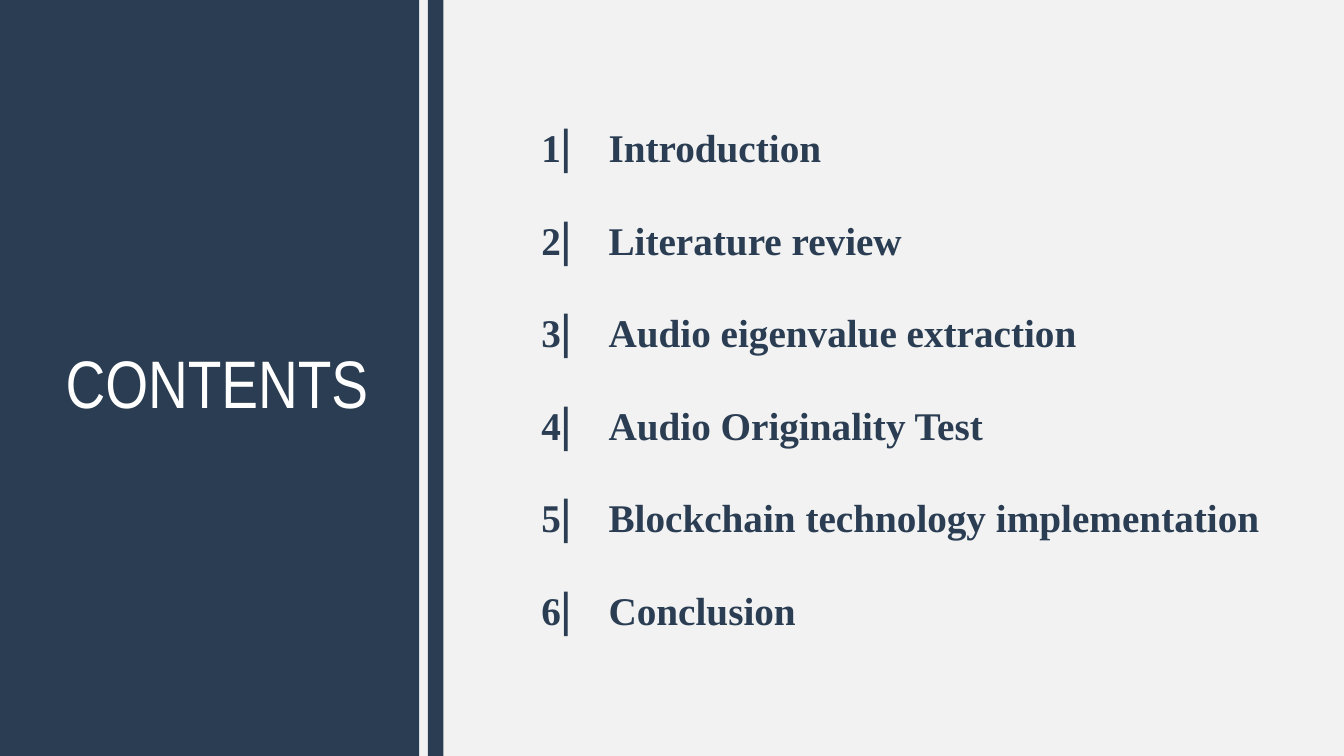
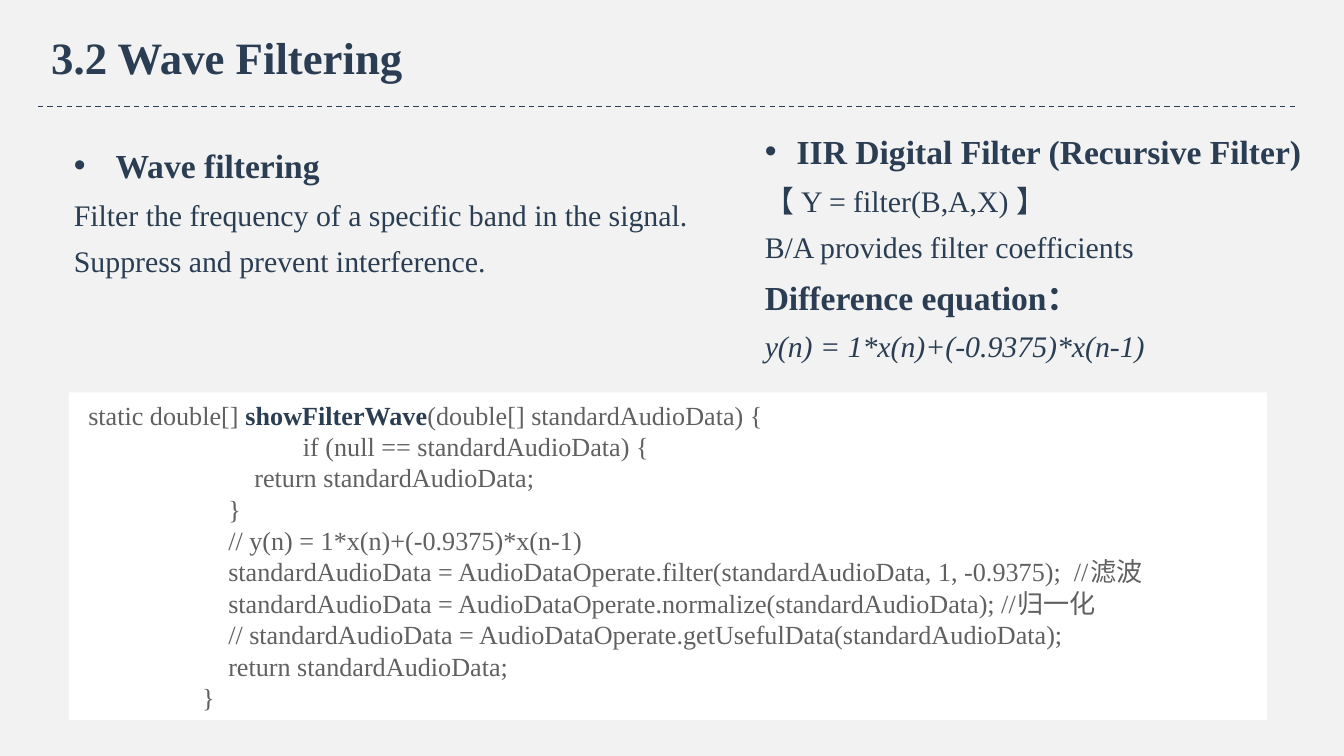
from dataclasses import dataclass

from lxml import etree
from pptx import Presentation
from pptx.dml.color import RGBColor
from pptx.enum.dml import MSO_LINE
from pptx.enum.shapes import MSO_CONNECTOR, MSO_SHAPE
from pptx.enum.text import MSO_ANCHOR, MSO_AUTO_SIZE, PP_ALIGN
from pptx.oxml.ns import qn
from pptx.util import Pt

RECTANGLE = MSO_SHAPE.RECTANGLE
STRAIGHT = MSO_CONNECTOR.STRAIGHT
DASH = MSO_LINE.DASH
TOP = MSO_ANCHOR.TOP
NO_FIT = MSO_AUTO_SIZE.NONE
LEFT, CENTER = PP_ALIGN.LEFT, PP_ALIGN.CENTER
CONTENT_LAYOUT, TWO_CONTENT_LAYOUT = 1, 3


@dataclass(frozen=True)
class Theme:
    """Colours, fonts and type sizes of the deck."""
    navy: RGBColor = RGBColor(0x2A, 0x3D, 0x52)
    paper: RGBColor = RGBColor(0xF2, 0xF2, 0xF2)
    white: RGBColor = RGBColor(0xFF, 0xFF, 0xFF)
    grey: RGBColor = RGBColor(0x60, 0x60, 0x60)
    serif: str = "Times New Roman"
    narrow: str = "Arial Narrow"
    bar: str = "Noto Sans CJK SC"
    cover: float = 36
    title: float = 24
    agenda: float = 21
    heading: float = 18
    body: float = 16
    code: float = 14
    agenda_pitch: float = 49.6
    heading_pitch: float = 28
    body_pitch: float = 25
    code_pitch: float = 16.8


@dataclass(frozen=True)
class Box:
    """A rectangle in points."""
    left: float
    top: float
    width: float
    height: float

    def place(self, shape):
        """Move a shape onto this rectangle."""
        shape.left, shape.top = Pt(self.left), Pt(self.top)
        shape.width, shape.height = Pt(self.width), Pt(self.height)


THEME = Theme()
PAGE = Box(0, 0, 720, 405)

AGENDA = ["Introduction", "Literature review", "Audio eigenvalue extraction",
          "Audio Originality Test", "Blockchain technology implementation",
          "Conclusion"]

PURPOSE = [("heading", "Wave filtering"),
           ("body", "Filter the frequency of a specific band in the signal."),
           ("body", "Suppress and prevent interference.")]

FILTER = [("heading", "IIR Digital Filter (Recursive Filter)"),
          ("body", "【 Y = filter(B,A,X) 】"),
          ("body", "B/A provides filter coefficients"),
          ("subheading", "Difference equation："),
          ("formula", "y(n) = 1*x(n)+(-0.9375)*x(n-1)")]

CODE = [
    (0, 1, ["static double[] ", "showFilterWave",
            "(double[] standardAudioData) {"]),
    (2, 3, ["if (null == standardAudioData) {"]),
    (1, 11, ["return standardAudioData;"]),
    (1, 7, ["}"]),
    (1, 7, ["// y(n) = 1*x(n)+(-0.9375)*x(n-1)"]),
    (1, 7, ["standardAudioData = AudioDataOperate.filter("
            "standardAudioData, 1, -0.9375);  //滤波"]),
    (1, 7, ["standardAudioData = AudioDataOperate.normalize("
            "standardAudioData); //归一化"]),
    (1, 7, ["// standardAudioData = AudioDataOperate.getUsefulData("
            "standardAudioData);"]),
    (1, 7, ["return standardAudioData;"]),
    (1, 3, ["}"]),
]


def add_run(paragraph, text, size, color=THEME.navy, font=THEME.serif,
            bold=False, italic=False):
    """Append one formatted run."""
    run = paragraph.add_run()
    run.text = text
    run.font.size, run.font.name = Pt(size), font
    run.font.bold, run.font.italic = bold, italic
    run.font.color.rgb = color


def format_paragraph(paragraph, pitch=None, margin=0, hang=0, bullet=None,
                     tab=None, align=LEFT):
    """Set line pitch, indents, bullet and tab stop."""
    paragraph.alignment = align
    paragraph.space_before = paragraph.space_after = Pt(0)
    if pitch:
        paragraph.line_spacing = Pt(pitch)
    props = paragraph._p.get_or_add_pPr()
    props.set("marL", str(Pt(margin)))
    props.set("indent", str(Pt(-hang)))
    if bullet:
        etree.SubElement(props, qn("a:buChar")).set("char", bullet)
    else:
        etree.SubElement(props, qn("a:buNone"))
    if tab:
        tabs = etree.SubElement(props, qn("a:tabLst"))
        etree.SubElement(tabs, qn("a:tab"), pos=str(Pt(tab)), algn="l")


def open_frame(shape, box):
    """Place a text holder and return its top-anchored, wrapping frame."""
    box.place(shape)
    frame = shape.text_frame
    frame.auto_size, frame.word_wrap = NO_FIT, True
    frame.vertical_anchor = TOP
    frame.margin_left = frame.margin_right = Pt(7.2)
    frame.margin_top = frame.margin_bottom = Pt(3.6)
    return frame


def paragraphs_for(frame, items):
    """Yield a paragraph with each item, starting with the existing one."""
    for index, item in enumerate(items):
        yield (frame.add_paragraph() if index else frame.paragraphs[0]), item


def fill_title(slide, box, text, align=LEFT, **style):
    """Write the title placeholder."""
    paragraph = open_frame(slide.shapes.title, box).paragraphs[0]
    format_paragraph(paragraph, align=align)
    add_run(paragraph, text, **style)


def add_panel(slide, box, color):
    """Add a plain filled rectangle."""
    panel = slide.shapes.add_shape(RECTANGLE, 0, 0, 0, 0)
    box.place(panel)
    panel.shadow.inherit = False
    panel.fill.solid()
    panel.fill.fore_color.rgb = color
    panel.line.fill.background()
    return panel


def add_side_band(slide, box):
    """Build the navy band with its stripe and the contents title."""
    band = add_panel(slide, Box(box.left, box.top, 224.6, box.height),
                     THEME.navy)
    stripe = add_panel(slide, Box(box.left + 229.2, box.top, 8.4, box.height),
                       THEME.navy)
    for part in (band, stripe):
        slide.shapes.title.element.addprevious(part.element)
    fill_title(slide, Box(box.left + 4, box.top + 179.5, 224.6, 55),
               "CONTENTS", align=CENTER, size=THEME.cover,
               color=THEME.white, font=THEME.narrow)


def add_agenda(slide, box):
    """Number the sections in the body placeholder."""
    frame = open_frame(slide.placeholders[1], box)
    rows = enumerate(AGENDA, start=1)
    for paragraph, (number, section) in paragraphs_for(frame, rows):
        format_paragraph(paragraph, THEME.agenda_pitch, tab=27.4)
        add_run(paragraph, str(number), THEME.agenda, bold=True)
        add_run(paragraph, "|", THEME.agenda, font=THEME.bar, bold=True)
        add_run(paragraph, f"\t{section}", THEME.agenda, bold=True)


def add_header(slide, box, text):
    """Write the topic title above its dashed rule."""
    fill_title(slide, Box(box.left, box.top, 470, 36), text,
               size=THEME.title, bold=True)
    rule_y = Pt(box.top + box.height)
    rule = slide.shapes.add_connector(STRAIGHT, Pt(box.left), rule_y,
                                      Pt(box.left + box.width), rule_y)
    rule.line.color.rgb = THEME.navy
    rule.line.width = Pt(0.75)
    rule.line.dash_style = DASH
    etree.SubElement(rule.element.spPr, qn("a:effectLst"))


def add_notes_column(slide, box, index, lines, hang):
    """Fill one body placeholder with a bulleted heading and its lines."""
    frame = open_frame(slide.placeholders[index], box)
    for paragraph, (role, text) in paragraphs_for(frame, lines):
        strong = role in ("heading", "subheading")
        pitch = THEME.heading_pitch if strong else THEME.body_pitch
        if role == "heading":
            format_paragraph(paragraph, pitch, hang, hang, "•")
        else:
            format_paragraph(paragraph, pitch)
        add_run(paragraph, text, THEME.heading if strong else THEME.body,
                bold=strong, italic=role == "formula")


def add_code_panel(slide, box):
    """Show the filter listing on a white panel."""
    frame = open_frame(add_panel(slide, box, THEME.white), box)
    tab_width, space_width = 54, THEME.code / 4
    for paragraph, (tabs, spaces, parts) in paragraphs_for(frame, CODE):
        format_paragraph(paragraph, THEME.code_pitch,
                         tabs * tab_width + spaces * space_width)
        for part in parts:
            is_name = part == "showFilterWave"
            add_run(paragraph, part, THEME.code, bold=is_name,
                    color=THEME.navy if is_name else THEME.grey)


def build_contents(deck):
    """Build the contents slide."""
    slide = deck.slides.add_slide(deck.slide_layouts[CONTENT_LAYOUT])
    add_side_band(slide, PAGE)
    add_agenda(slide, Box(282.8, 38, 410, 305))


def build_wave_filtering(deck):
    """Build the wave filtering slide."""
    slide = deck.slides.add_slide(deck.slide_layouts[TWO_CONTENT_LAYOUT])
    add_header(slide, Box(20.2, 12.2, 674.6, 44.7), "3.2 Wave Filtering")
    add_code_panel(slide, Box(36.7, 210.2, 642.2, 175.7))
    add_notes_column(slide, Box(32.4, 67.7, 370, 86), 1, PURPOSE, 22.3)
    add_notes_column(slide, Box(402.5, 60.2, 310, 140), 2, FILTER, 17.1)


def main():
    """Build and save the deck."""
    deck = Presentation()
    deck.slide_width, deck.slide_height = Pt(PAGE.width), Pt(PAGE.height)
    backdrop = deck.slide_master.background.fill
    backdrop.solid()
    backdrop.fore_color.rgb = THEME.paper
    build_contents(deck)
    build_wave_filtering(deck)
    deck.save("out.pptx")


if __name__ == "__main__":
    main()
